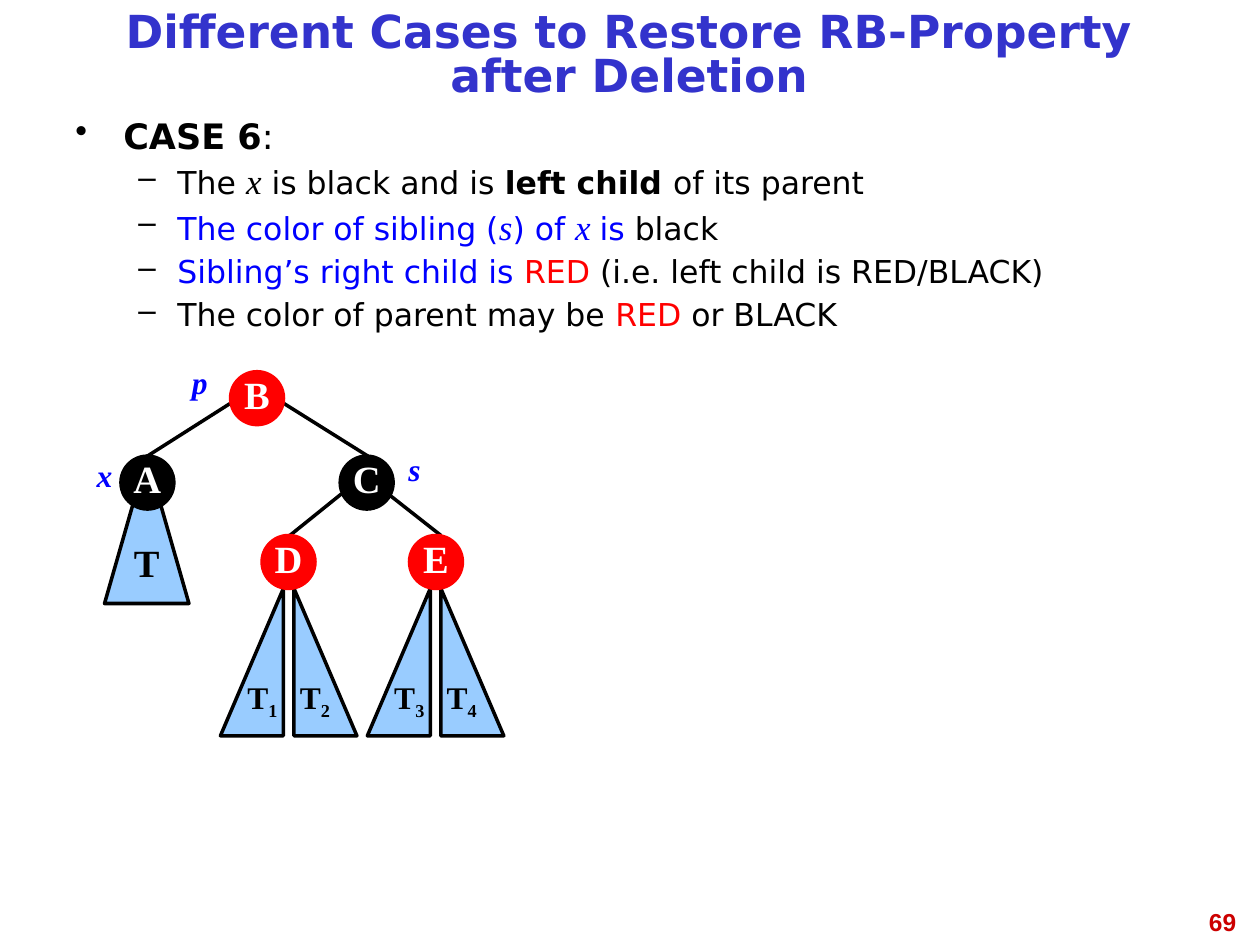
from typing import NamedTuple

from lxml.etree import SubElement
from pptx import Presentation
from pptx.dml.color import RGBColor
from pptx.enum.shapes import MSO_CONNECTOR, MSO_SHAPE
from pptx.enum.text import MSO_ANCHOR as Anchor, PP_ALIGN as Align
from pptx.oxml.ns import qn
from pptx.util import Inches, Pt

SANS, SERIF = "DejaVu Sans", "Times New Roman"
BLACK, WHITE, RED, BLUE = "000000", "FFFFFF", "FF0000", "0000FF"
SUBTREE_FILL = "99CCFF"
NODE_SIZE = 0.42
TIGHT = 0.81


class Part(NamedTuple):
    text: str
    color: str = BLACK
    bold: bool = False
    variable: bool = False


class Node(NamedTuple):
    name: str
    left: float
    top: float
    color: str


class Edge(NamedTuple):
    x1: float
    y1: float
    x2: float
    y2: float


class Label(NamedTuple):
    text: str
    left: float
    top: float
    width: float


class Subtree(NamedTuple):
    subscript: str
    left: float
    top: float
    width: float
    preset: MSO_SHAPE
    size: int
    flipped: bool = False


def rgb(color: str) -> RGBColor:
    return RGBColor.from_string(color)


def style(font, name: str, size: float, color: str, bold=False, italic=False) -> None:
    font.name, font.size = name, Pt(size)
    font.bold, font.italic = bold, italic
    font.color.rgb = rgb(color)


def add_text(slide, left, top, width, height, text, align, *font):
    box = slide.shapes.add_textbox(Inches(left), Inches(top), Inches(width), Inches(height))
    box.text_frame.word_wrap = True
    paragraph = box.text_frame.paragraphs[0]
    paragraph.text, paragraph.alignment = text, align
    style(paragraph.font, *font)
    return box


def add_bullet(paragraph, parts: list[Part], level: int) -> None:
    """Write one line of the list: level 0 is the heading, level 1 a condition."""
    margin, hanging, mark, size = ((0.38, 0.38, "•", 20), (0.81, 0.31, "–", 18))[level]
    properties = paragraph._p.get_or_add_pPr()
    properties.set("marL", str(Inches(margin)))
    properties.set("indent", str(-Inches(hanging)))
    bullet_color = SubElement(properties, qn("a:buClr"))
    SubElement(bullet_color, qn("a:srgbClr"), val=BLACK)
    SubElement(properties, qn("a:buChar"), char=mark)
    paragraph.level = level
    paragraph.alignment = Align.JUSTIFY
    paragraph.line_spacing = 0.8
    if level:
        paragraph.space_before = Pt(7)
    for part in parts:
        run = paragraph.add_run()
        run.text = part.text
        name, run_size = (SERIF, 20) if part.variable else (SANS, size)
        style(run.font, name, run_size, part.color, part.bold, part.variable)


def add_figure(slide, preset, left, top, width, height, fill, line, text, *font):
    shape = slide.shapes.add_shape(
        preset, Inches(left), Inches(top), Inches(width), Inches(height))
    shape.shadow.inherit = False
    shape.fill.solid()
    shape.fill.fore_color.rgb = rgb(fill)
    shape.line.color.rgb = rgb(line)
    shape.line.width = Pt(2)
    frame = shape.text_frame
    frame.word_wrap = False
    frame.vertical_anchor = Anchor.MIDDLE
    paragraph = frame.paragraphs[0]
    paragraph.text = text
    paragraph.alignment = Align.CENTER
    paragraph.line_spacing = TIGHT
    style(paragraph.font, *font)
    return shape


def add_subtree(slide, subtree: Subtree) -> None:
    shape = add_figure(slide, subtree.preset, subtree.left, subtree.top, subtree.width, 1.17,
                       SUBTREE_FILL, BLACK, "T", SERIF, subtree.size, BLACK, True)
    if subtree.flipped:
        shape._element.spPr.find(qn("a:xfrm")).set("flipH", "1")
    if subtree.subscript:
        run = shape.text_frame.paragraphs[0].add_run()
        run.text = subtree.subscript
        run._r.get_or_add_rPr().set("baseline", "-25000")


def add_edge(slide, edge: Edge) -> None:
    line = slide.shapes.add_connector(MSO_CONNECTOR.STRAIGHT, *map(Inches, edge))
    line.line.color.rgb = rgb(BLACK)
    line.line.width = Pt(2)
    SubElement(line._element.spPr, qn("a:effectLst"))


CONDITIONS = [
    [Part("CASE 6", bold=True), Part(":")],
    [Part("The "), Part("x", variable=True), Part(" is black and is "),
     Part("left child ", bold=True), Part("of its parent")],
    [Part("The color of sibling (", BLUE), Part("s", BLUE, variable=True),
     Part(") of ", BLUE), Part("x ", BLUE, variable=True), Part("is ", BLUE), Part("black")],
    [Part("Sibling’s right child is ", BLUE), Part("RED ", RED),
     Part("(i.e. left child is RED/BLACK)")],
    [Part("The color of parent may be "), Part("RED", RED), Part(" or BLACK")],
]
NODES = [
    Node("B", 1.83, 2.95, RED),
    Node("A", 0.96, 3.62, BLACK),
    Node("C", 2.7, 3.62, BLACK),
    Node("D", 2.08, 4.25, RED),
    Node("E", 3.25, 4.25, RED),
]
EDGES = [
    Edge(1.17, 3.62, 1.83, 3.2),
    Edge(2.25, 3.2, 2.92, 3.62),
    Edge(2.3, 4.25, 2.71, 3.92),
    Edge(3.5, 4.25, 3.08, 3.92),
]
LABELS = [
    Label("p", 1.17, 2.83, 0.83),
    Label("s", 3, 3.52, 0.58),
    Label("x", 0.58, 3.57, 0.5),
]
SUBTREES = [Subtree("", 0.83, 3.62, 0.67, MSO_SHAPE.ISOSCELES_TRIANGLE, 22)] + [
    Subtree(str(i + 1), 1.75 + i * 0.583, 4.67, 0.5, MSO_SHAPE.RIGHT_TRIANGLE, 18, i % 2 == 0)
    for i in range(4)
]


def main() -> None:
    presentation = Presentation()
    presentation.slide_width, presentation.slide_height = Inches(10), Inches(7.5)
    slide = presentation.slides.add_slide(presentation.slide_layouts[6])

    # Title and slide number
    title = add_text(slide, 0.5, 0.08, 8.99, 0.75,
                     "Different Cases to Restore RB-Property after Deletion",
                     Align.CENTER, SANS, 26, "3333CC", True)
    title.text_frame.vertical_anchor = Anchor.MIDDLE
    title.text_frame.paragraphs[0].line_spacing = TIGHT
    add_text(slide, 7.58, 7.15, 2.33, 0.52, "69", Align.RIGHT, "Arial", 14, "CC0000", True)

    # Conditions of the case
    body = slide.shapes.add_textbox(Inches(0.5), Inches(0.92), Inches(8.99), Inches(1.92))
    frame = body.text_frame
    frame.word_wrap = True
    for index, parts in enumerate(CONDITIONS):
        paragraph = frame.add_paragraph() if index else frame.paragraphs[0]
        add_bullet(paragraph, parts, min(index, 1))

    # Tree: subtrees and edges lie behind the nodes
    for subtree in SUBTREES:
        add_subtree(slide, subtree)
    for edge in EDGES:
        add_edge(slide, edge)
    for node in NODES:
        add_figure(slide, MSO_SHAPE.OVAL, node.left, node.top, NODE_SIZE, NODE_SIZE,
                   node.color, node.color, node.name, SERIF, 22, WHITE, True)
    for label in LABELS:
        add_text(slide, label.left, label.top, label.width, 0.4, label.text,
                 Align.CENTER, SERIF, 18, BLUE, True, True)

    presentation.save("out.pptx")


if __name__ == "__main__":
    main()
